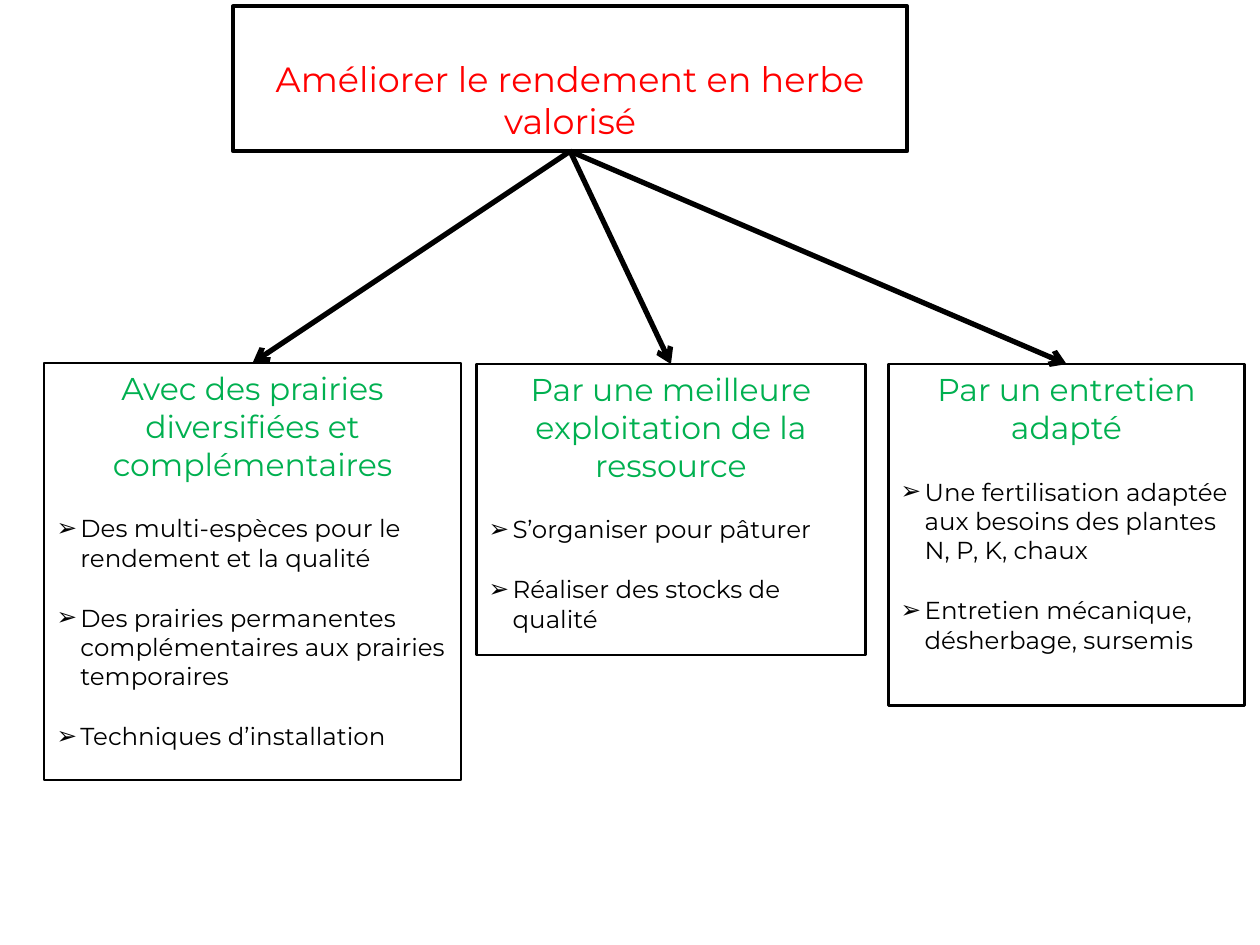
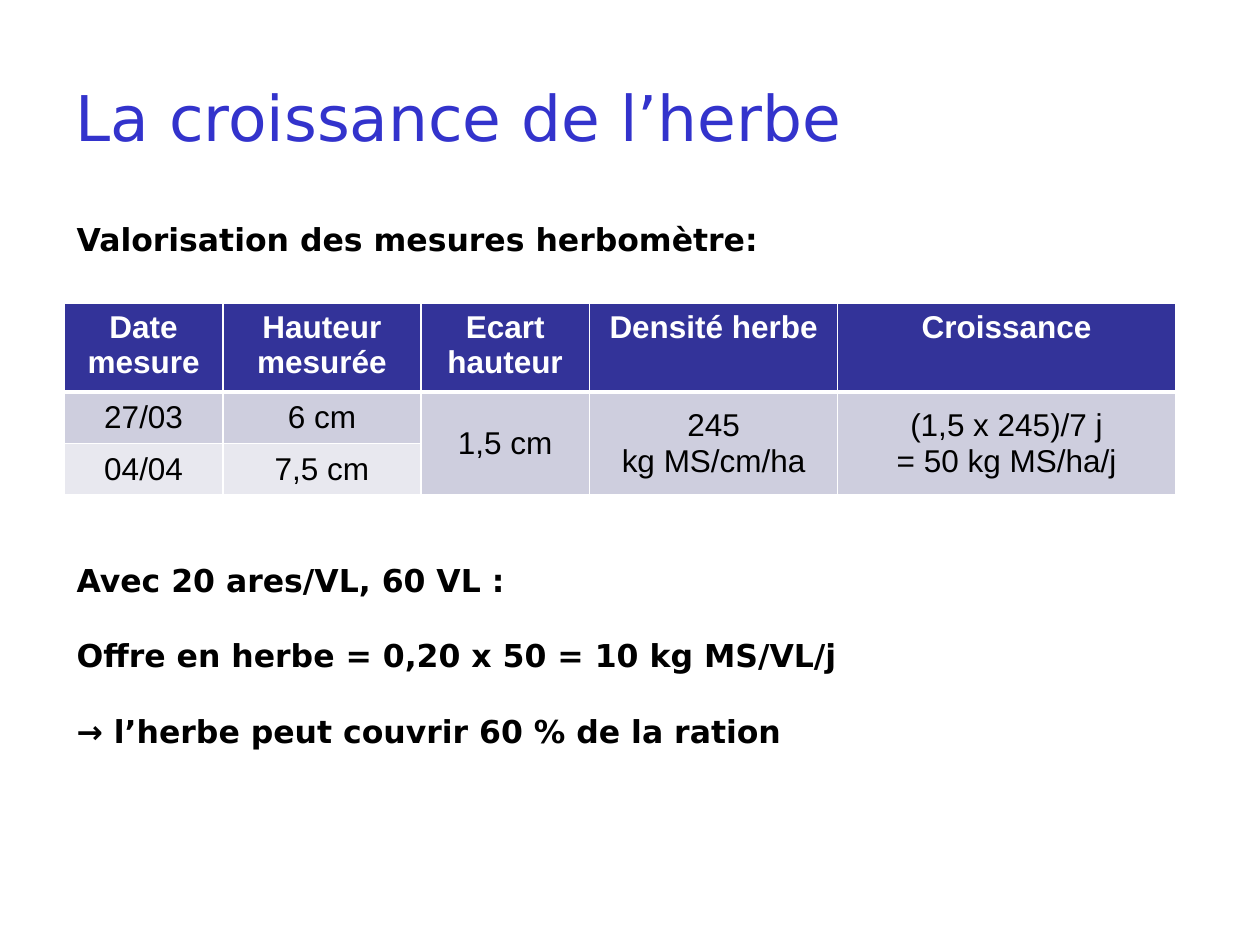
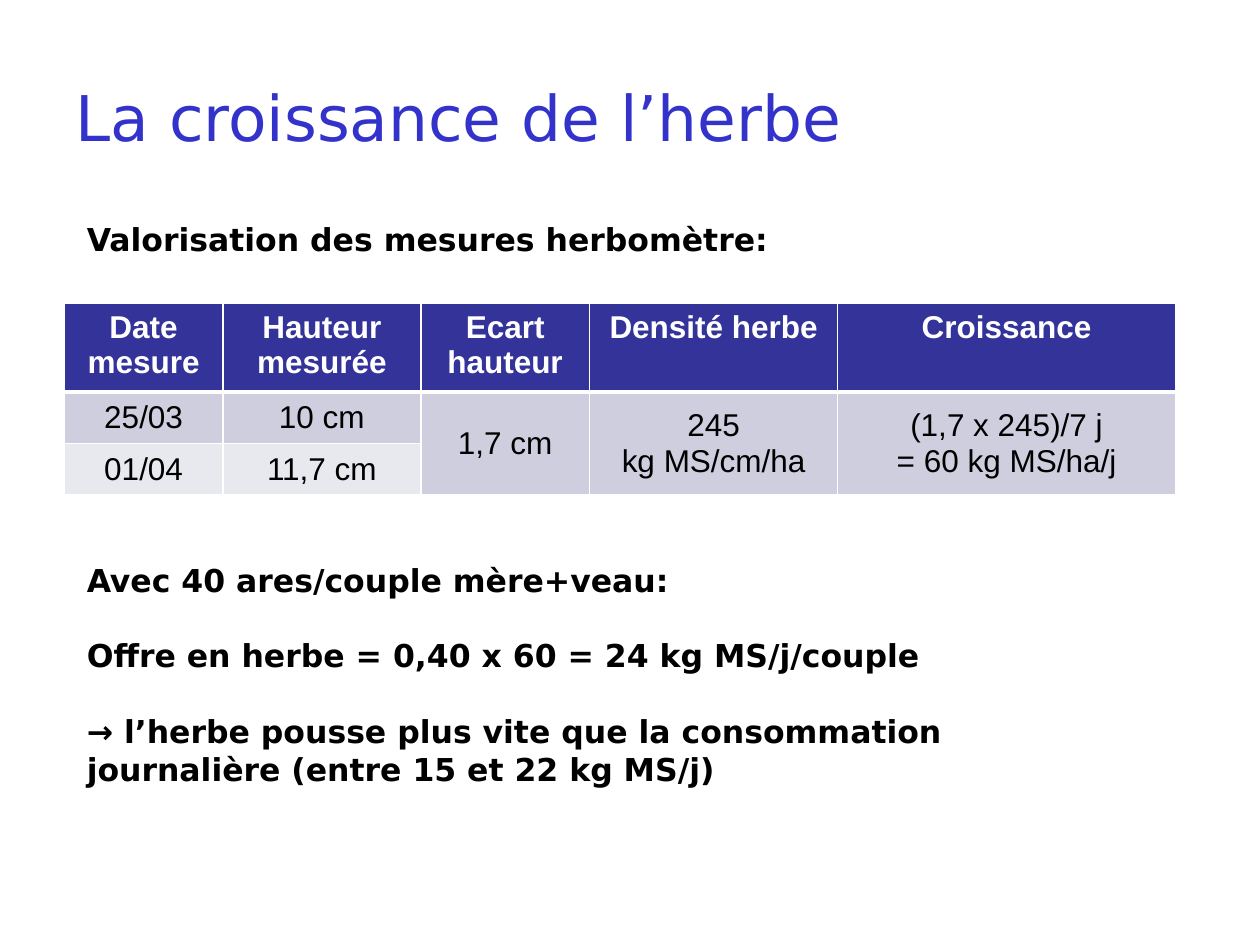
from lxml.etree import SubElement
from pptx import Presentation
from pptx.dml.color import RGBColor
from pptx.enum.shapes import MSO_CONNECTOR, MSO_SHAPE
from pptx.enum.text import MSO_ANCHOR, PP_ALIGN
from pptx.oxml.ns import qn
from pptx.util import Inches, Pt

COLORS = {
    "ink": "000000",
    "goal": "FF0000",
    "lever": "00B050",
    "title": "3333CC",
    "header": "333399",
    "band_dark": "CECEDE",
    "band_light": "E8E8EF",
    "white": "FFFFFF",
}
BLANK_LINE = 21.6


def style(paragraph, font_name, size, color, bold=False):
    for run in paragraph.runs:
        run.font.name = font_name
        run.font.size = Pt(size)
        run.font.bold = bold
        run.font.color.rgb = RGBColor.from_string(COLORS[color])


def add_frame(slide, left, top, width, height, line_width):
    frame = slide.shapes.add_shape(
        MSO_SHAPE.RECTANGLE, Inches(left), Inches(top), Inches(width), Inches(height))
    frame.shadow.inherit = False
    frame.fill.background()
    frame.line.color.rgb = RGBColor.from_string(COLORS["ink"])
    frame.line.width = Pt(line_width)
    frame.text_frame.word_wrap = True
    return frame


prs = Presentation()
prs.slide_width = Inches(10)
prs.slide_height = Inches(7.5)

overview = prs.slides.add_slide(prs.slide_layouts[6])
goal = add_frame(overview, 1.85, 0.05, 5.35, 1.15, 2.25)
goal.text_frame.text = "Améliorer le rendement en herbe valorisé"
goal.text_frame.vertical_anchor = MSO_ANCHOR.MIDDLE
goal.text_frame.margin_top = Inches(0.38)
goal.text_frame.paragraphs[0].alignment = PP_ALIGN.CENTER
style(goal.text_frame.paragraphs[0], "Montserrat", 20, "goal")

levers = [
    ((0.35, 2.88, 3.31, 3.31, 1), "Avec des prairies diversifiées et complémentaires", [
        "Des multi-espèces pour le rendement et la qualité",
        "Des prairies permanentes complémentaires aux prairies temporaires",
        "Techniques d’installation"]),
    ((3.78, 2.89, 3.09, 2.31, 1.5), "Par une meilleure exploitation de la ressource", [
        "S’organiser pour pâturer",
        "Réaliser des stocks de qualité"]),
    ((7.05, 2.89, 2.83, 2.71, 1.5), "Par un entretien adapté", [
        "Une fertilisation adaptée aux besoins des plantes N, P, K, chaux",
        "Entretien mécanique, désherbage, sursemis"]),
]
for geometry, heading, actions in levers:
    lever = add_frame(overview, *geometry)
    lever.text_frame.vertical_anchor = MSO_ANCHOR.TOP
    lever.text_frame.text = "\n".join([heading] + actions)
    heading_line, *action_lines = lever.text_frame.paragraphs
    heading_line.alignment = PP_ALIGN.CENTER
    style(heading_line, "Montserrat", 18, "lever")
    for action_line in action_lines:
        action_line.alignment = PP_ALIGN.LEFT
        action_line.space_before = Pt(17.5)
        properties = action_line._p.get_or_add_pPr()
        properties.set("marL", str(Inches(0.19)))
        properties.set("indent", str(Inches(-0.19)))
        SubElement(properties, qn("a:buFont"), typeface="Arial")
        SubElement(properties, qn("a:buChar"), char="➢")
        style(action_line, "Montserrat", 14, "ink")

    arrow = overview.shapes.add_connector(MSO_CONNECTOR.STRAIGHT, 0, 0, 0, 0)
    arrow.begin_connect(goal, 2)
    arrow.end_connect(lever, 0)
    arrow.line.color.rgb = RGBColor.from_string(COLORS["ink"])
    arrow.line.width = Pt(3)
    SubElement(arrow.line._get_or_add_ln(), qn("a:tailEnd"), type="arrow")
    SubElement(arrow._element.spPr, qn("a:effectLst"))

headers = ["Date mesure", "Hauteur mesurée", "Ecart hauteur", "Densité herbe", "Croissance"]
column_widths = [1.26, 1.57, 1.34, 1.97, 2.68]
row_heights = [0.69, 0.41, 0.41]
row_fills = ["header", "band_dark", "band_light"]
density = "245\nkg MS/cm/ha"

growth_cases = [
    (0.51, 4.64,
     [["27/03", "6 cm", "1,5 cm", density, "(1,5 x 245)/7 j\n= 50 kg MS/ha/j"],
      ["04/04", "7,5 cm", "", "", ""]],
     ["Avec 20 ares/VL, 60 VL :",
      "Offre en herbe = 0,20 x 50 = 10 kg MS/VL/j",
      "→ l’herbe peut couvrir 60 % de la ration"]),
    (0.59, 4.95,
     [["25/03", "10 cm", "1,7 cm", density, "(1,7 x 245)/7 j\n= 60 kg MS/ha/j"],
      ["01/04", "11,7 cm", "", "", ""]],
     ["Avec 40 ares/couple mère+veau:",
      "Offre en herbe = 0,40 x 60 = 24 kg MS/j/couple",
      "→ l’herbe pousse plus vite que la consommation journalière (entre 15 et 22 kg MS/j)"]),
]
for notes_left, notes_height, measures, conclusions in growth_cases:
    slide = prs.slides.add_slide(prs.slide_layouts[5])
    title = slide.shapes.title
    title.left, title.top = Inches(0.5), Inches(0.3)
    title.width, title.height = Inches(9), Inches(1.25)
    title.text_frame.text = "La croissance de l’herbe"
    title.text_frame.vertical_anchor = MSO_ANCHOR.MIDDLE
    title.text_frame.paragraphs[0].alignment = PP_ALIGN.LEFT
    style(title.text_frame.paragraphs[0], "DejaVu Sans", 36, "title")

    notes = slide.shapes.add_textbox(
        Inches(notes_left), Inches(1.7), Inches(8.19), Inches(notes_height)).text_frame
    notes.word_wrap = True
    notes.text = "\n".join(["Valorisation des mesures herbomètre:"] + conclusions)
    for note, blank_lines in zip(notes.paragraphs, [0, 8, 1, 1]):
        note.space_before = Pt(blank_lines * BLANK_LINE)
        style(note, "DejaVu Sans", 18, "ink", bold=True)

    table = slide.shapes.add_table(
        3, 5, Inches(0.51), Inches(2.41), Inches(sum(column_widths)),
        Inches(sum(row_heights))).table
    for column, width in zip(table.columns, column_widths):
        column.width = Inches(width)
    for row, height in zip(table.rows, row_heights):
        row.height = Inches(height)
    for merged_column in (2, 3, 4):
        table.cell(1, merged_column).merge(table.cell(2, merged_column))

    for row_index, values in enumerate([headers] + measures):
        is_header = row_index == 0
        for column_index, value in enumerate(values):
            cell = table.cell(row_index, column_index)
            cell.vertical_anchor = MSO_ANCHOR.TOP if is_header else MSO_ANCHOR.MIDDLE
            cell_properties = cell._tc.get_or_add_tcPr()
            for side in "LRTB":
                thick = (row_index, side) in [(0, "B"), (1, "T")]
                border = SubElement(
                    cell_properties, qn(f"a:ln{side}"), w=str(Pt(3 if thick else 1)))
                border_fill = SubElement(border, qn("a:solidFill"))
                SubElement(border_fill, qn("a:srgbClr"), val=COLORS["white"])
            cell.fill.solid()
            cell.fill.fore_color.rgb = RGBColor.from_string(COLORS[row_fills[row_index]])
            if value:
                cell.text_frame.text = value
                for line in cell.text_frame.paragraphs:
                    line.alignment = PP_ALIGN.CENTER
                    style(line, "Arial", 18, "white" if is_header else "ink", is_header)

prs.save("out.pptx")
